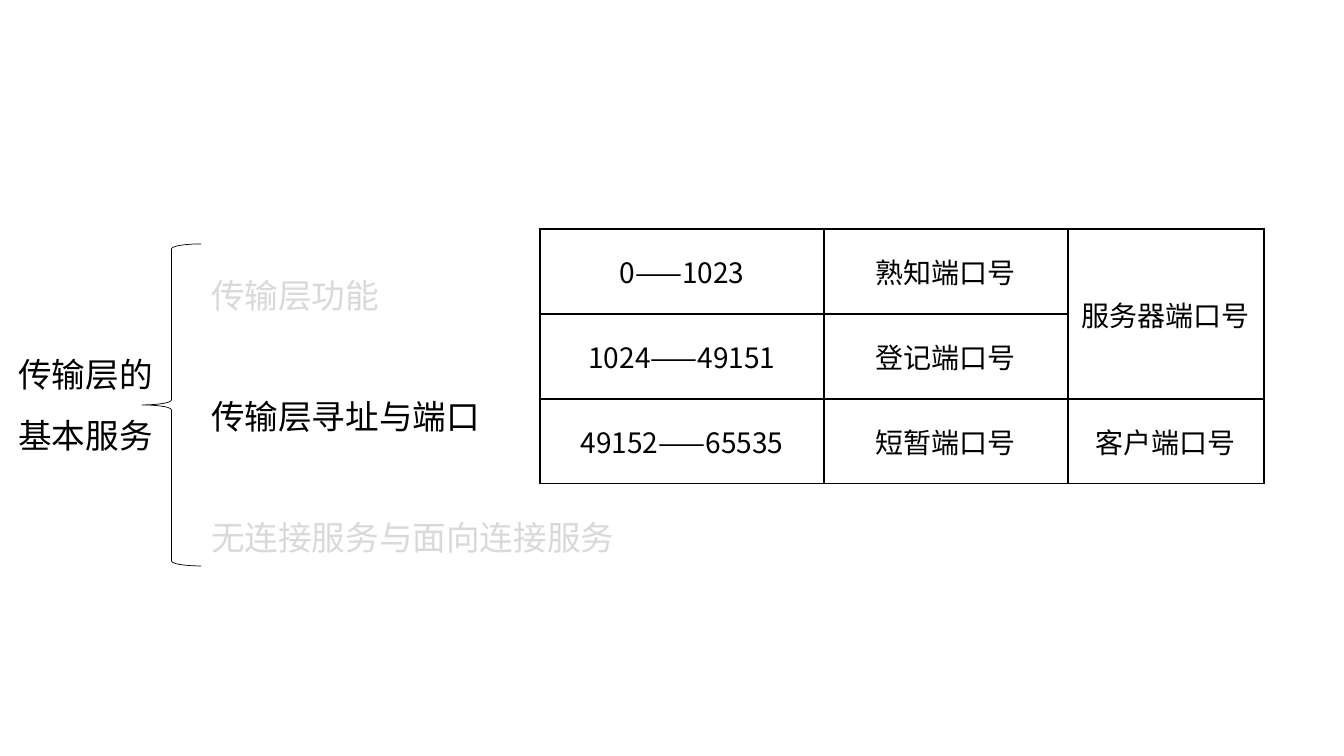
import pptx
import pptx.util
import pptx.dml.color
import pptx.enum.shapes
import pptx.enum.text
import pptx.oxml

HEX = {"black": "000000", "grey": "D9D9D9"}
TITLE = ["传输层的", "基本服务"]
TOPICS = [("传输层功能", "grey"), ("传输层寻址与端口", "black"),
          ("无连接服务与面向连接服务", "grey")]
PORTS = [["0——1023", "熟知端口号", "服务器端口号"],
         ["1024——49151", "登记端口号", ""],
         ["49152——65535", "短暂端口号", "客户端口号"]]
BOX = {"title": (0, 329, 171, 125), "topics": (201, 250, 430, 316),
       "brace": (142, 244, 59, 322), "table": (540, 229, 724, 255)}
COLS = [284, 244, 196]
ROW = 85
GAP = 43  # points between topics
ALIGN = pptx.enum.text.PP_ALIGN
MID = pptx.enum.text.MSO_ANCHOR.MIDDLE
TOP = pptx.enum.text.MSO_ANCHOR.TOP


def px(n):
    return round(n * 914400 / 100.8)


def rgb(name):
    return pptx.dml.color.RGBColor.from_string(HEX[name])


def put(para, text, size, face, tone, **form):
    """Write one run and format its paragraph."""
    run = para.add_run()
    run.text = text
    look = {"size": pptx.util.Pt(size), "name": face, "bold": False}
    for key, val in look.items():
        setattr(run.font, key, val)
    run.font.color.rgb = rgb(tone)
    for key, val in form.items():
        setattr(para, key, val)


def fill(holder, box, lines, align, gap):
    """Place a placeholder and give it one unbulleted paragraph per line."""
    holder.left, holder.top, holder.width, holder.height = map(px, box)
    frame = holder.text_frame
    frame.word_wrap = True
    frame.auto_size = pptx.enum.text.MSO_AUTO_SIZE.NONE
    frame.vertical_anchor = TOP
    for i, (text, tone) in enumerate(lines):
        para = frame.add_paragraph() if i else frame.paragraphs[0]
        put(para, text, 24, "Arial", tone, alignment=align, line_spacing=1.5,
            space_before=pptx.util.Pt(gap if i else 0), space_after=pptx.util.Pt(0))
        prop = para._p.get_or_add_pPr()
        prop.set("marL", "0")
        prop.set("indent", "0")
        prop.append(pptx.oxml.parse_xml(
            '<a:buNone xmlns:a="http://schemas.openxmlformats.org/drawingml/2006/main"/>'))


def edge(cell):
    """Draw a thin line on all four sides of a cell."""
    prop = cell._tc.get_or_add_tcPr()
    for i, side in enumerate("LRTB"):
        prop.insert(i, pptx.oxml.parse_xml(
            f'<a:ln{side} xmlns:a="http://schemas.openxmlformats.org/drawingml/2006/main"'
            f' w="12700"><a:solidFill><a:srgbClr val="{HEX["black"]}"/></a:solidFill>'
            f'</a:ln{side}>'))


def main():
    deck = pptx.Presentation()
    deck.slide_width, deck.slide_height = px(1344), px(756)
    slide = deck.slides.add_slide(deck.slide_layouts[1])
    title, body = slide.placeholders
    fill(title, BOX["title"], [(t, "black") for t in TITLE], ALIGN.CENTER, 0)
    fill(body, BOX["topics"], TOPICS, ALIGN.LEFT, GAP)

    brace = slide.shapes.add_shape(
        pptx.enum.shapes.MSO_SHAPE.LEFT_BRACE, *map(px, BOX["brace"]))
    brace.shadow.inherit = False
    brace.fill.background()
    brace.line.color.rgb = rgb("black")
    brace.line.width = pptx.util.Pt(0.5)

    grid = slide.shapes.add_table(
        len(PORTS), len(COLS), *map(px, BOX["table"])).table
    grid.first_row = grid.horz_banding = False
    for col, wide in zip(grid.columns, COLS):
        col.width = px(wide)
    grid.cell(0, 2).merge(grid.cell(1, 2))
    for r, row in enumerate(PORTS):
        grid.rows[r].height = px(ROW)
        for c, text in enumerate(row):
            cell = grid.cell(r, c)
            cell.fill.background()
            cell.vertical_anchor = MID
            edge(cell)
            if text:
                put(cell.text_frame.paragraphs[0], text, 20, "Noto Sans CJK SC",
                    "black", alignment=ALIGN.CENTER)
    deck.save("out.pptx")


if __name__ == "__main__":
    main()
